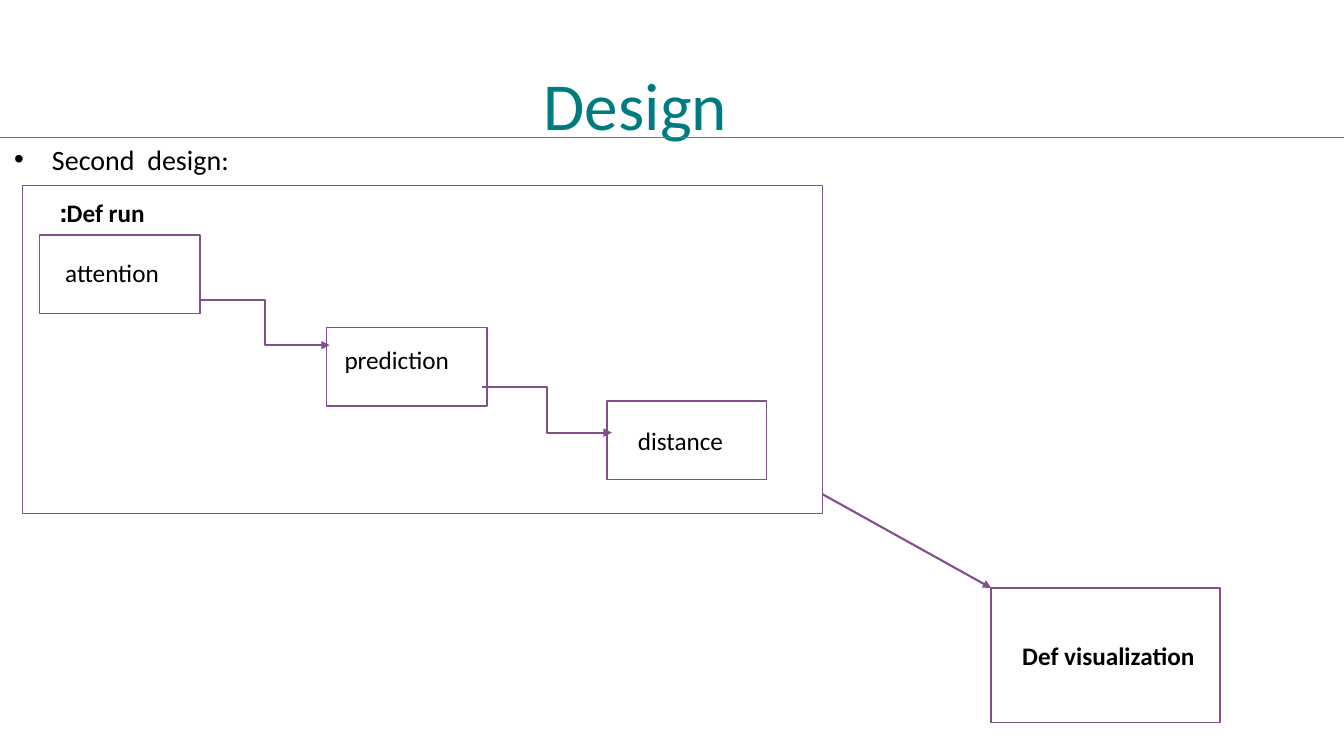
import pptx
import pptx.dml.color
import pptx.enum.shapes
import pptx.enum.text
import pptx.oxml
import pptx.oxml.ns
import pptx.util

Pt = pptx.util.Pt
ALIGN = pptx.enum.text.PP_ALIGN
ANCHOR = pptx.enum.text.MSO_ANCHOR
CONNECTOR = pptx.enum.shapes.MSO_CONNECTOR
COLORS = {"title": "007C80", "rule": "00A5AB", "purple": "824F8C",
          "white": "FFFFFF", "text": "000000"}
SLIDE_W, SLIDE_H = 960, 540
LABEL_H = 29


def color(name):
    return pptx.dml.color.RGBColor.from_string(COLORS[name])


def append_xml(parent, xml):
    ns = pptx.oxml.ns.nsdecls("a")
    parent.append(pptx.oxml.parse_xml(xml.replace("/>", f" {ns}/>", 1)))


def write(tf, text, size, name="text", bold=False, align=ALIGN.LEFT, rtl=False):
    p = tf.paragraphs[0]
    p.alignment = align
    if rtl:
        p._p.get_or_add_pPr().set("rtl", "1")
    r = p.add_run()
    r.text = text
    r.font.name = "Calibri"
    r.font.size = Pt(size)
    r.font.bold = bold
    r.font.color.rgb = color(name)
    return p


def add_label(slide, text, x, y, w, h=LABEL_H, size=18, **style):
    tf = slide.shapes.add_textbox(Pt(x), Pt(y), Pt(w), Pt(h)).text_frame
    tf.word_wrap = True
    return write(tf, text, size, **style)


def add_box(slide, x, y, w, h):
    sp = slide.shapes.add_shape(pptx.enum.shapes.MSO_SHAPE.RECTANGLE,
                                Pt(x), Pt(y), Pt(w), Pt(h))
    sp.shadow.inherit = False
    sp.fill.solid()
    sp.fill.fore_color.rgb = color("white")
    sp.line.color.rgb = color("purple")
    sp.line.width = Pt(1)
    return sp


def add_line(slide, x1, y1, x2, y2, kind=CONNECTOR.STRAIGHT,
             name="purple", width=1.5, arrow=True):
    line = slide.shapes.add_connector(kind, Pt(x1), Pt(y1), Pt(x2), Pt(y2))
    line.line.color.rgb = color(name)
    line.line.width = Pt(width)
    if arrow:
        append_xml(line.line._get_or_add_ln(), '<a:tailEnd type="triangle"/>')
    append_xml(line._element.spPr, "<a:effectLst/>")


def header(slide, x, y, w, h):
    title = slide.shapes.title
    title.left, title.top, title.width, title.height = Pt(x), Pt(y), Pt(w), Pt(h)
    tf = title.text_frame
    tf.word_wrap = True
    tf.auto_size = pptx.enum.text.MSO_AUTO_SIZE.NONE
    tf.vertical_anchor = ANCHOR.TOP
    tf.margin_right = Pt(29)
    p = write(tf, "Design", 48, "title", align=ALIGN.CENTER)
    p.line_spacing = 1.5
    add_line(slide, 0, y + h, SLIDE_W, y + h, name="rule", width=0.5, arrow=False)


def bullet(slide, x, y, w, h):
    p = add_label(slide, "Second  design:", x, y, w, h, size=20)
    pPr = p._p.get_or_add_pPr()
    pPr.set("marL", str(Pt(27)))
    pPr.set("indent", str(-Pt(27)))
    append_xml(pPr, '<a:buFont typeface="Arial"/>')
    append_xml(pPr, '<a:buChar char="•"/>')


def run_steps(slide, x, y, w, h):
    """Frame of the run function with its three steps, linked by elbow arrows."""
    add_box(slide, x, y, w, h)
    add_label(slide, "Def run:", x + 20, y + 5, 115, bold=True, rtl=True)
    # step: box left, top, width, then label left, top (all inside the frame)
    steps = [("attention", 12, 35.5, 115, 23.5, 48),
             ("prediction", 217, 101.5, 115, 223, 110),
             ("distance", 417.5, 154, 114, 432.5, 167.5)]
    for text, left, top, width, label_left, label_top in steps:
        add_box(slide, x + left, y + top, width, 56)
        add_label(slide, text, x + label_left, y + label_top, 93, rtl=True)
    for left, top in [(126.5, 81.5), (328, 144)]:
        add_line(slide, x + left, y + top, x + left + 93, y + top + 32.5,
                 CONNECTOR.ELBOW)


def visualization(slide, x, y, w, h):
    sp = add_box(slide, x, y, w, h)
    tf = sp.text_frame
    tf.word_wrap = True
    tf.vertical_anchor = ANCHOR.MIDDLE
    tf.margin_left = Pt(11)
    write(tf, "Def visualization", 18, bold=True, align=ALIGN.CENTER, rtl=True)


def main():
    prs = pptx.Presentation()
    prs.slide_width, prs.slide_height = Pt(SLIDE_W), Pt(SLIDE_H)
    slide = prs.slides.add_slide(prs.slide_layouts[5])
    header(slide, 23, 13, 883.5, 85)
    bullet(slide, 3, 98, 768, 55)
    run_steps(slide, 16, 132.5, 571.5, 234.5)
    visualization(slide, 708, 420, 163.5, 96)
    add_line(slide, 587.5, 353, 708, 420)
    prs.save("out.pptx")


if __name__ == "__main__":
    main()
